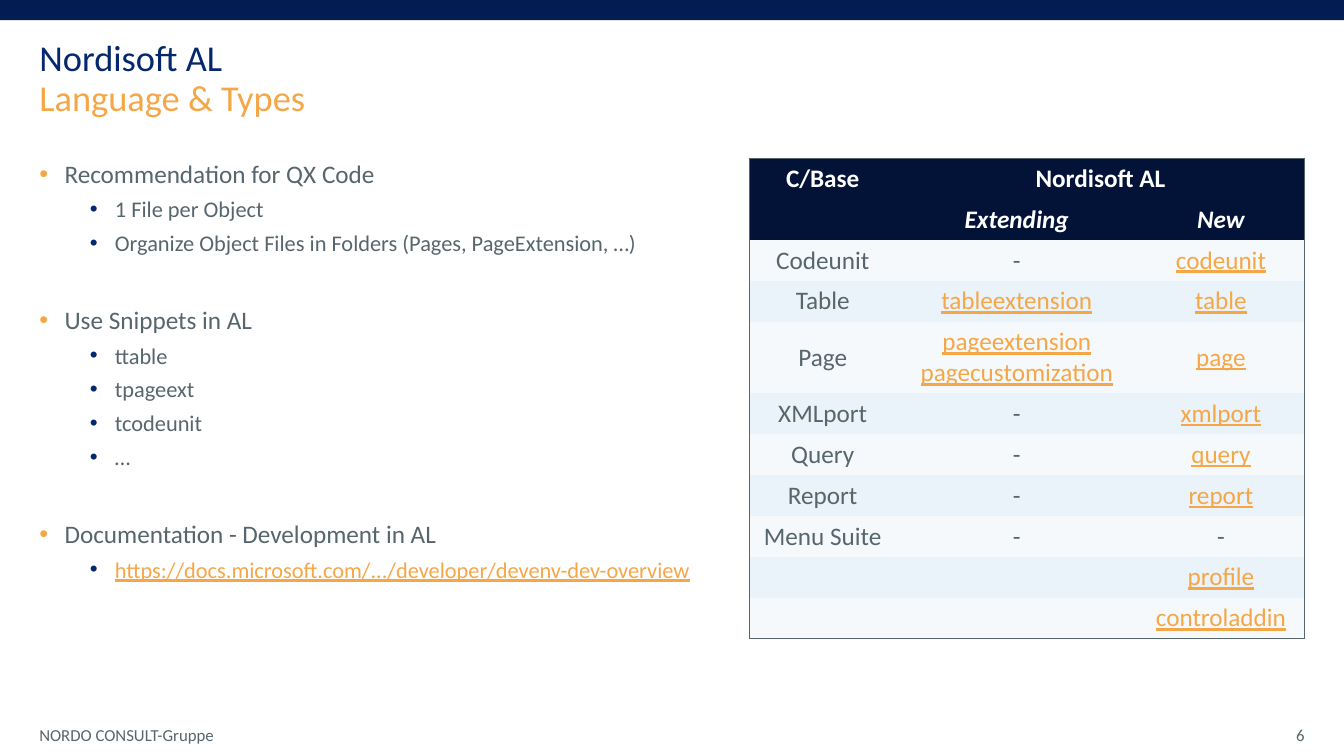
from dataclasses import dataclass

from lxml import etree
from pptx import Presentation
from pptx.dml.color import RGBColor
from pptx.enum import shapes, text
from pptx.oxml import ns
from pptx.util import Inches, Pt

TITLE = ["Nordisoft AL", "Language & Types"]
POINTS = [
    ("Recommendation for QX Code", [
        "1 File per Object",
        "Organize Object Files in Folders (Pages, PageExtension, …)"]),
    ("Use Snippets in AL", ["ttable", "tpageext", "tcodeunit", "…"]),
    ("Documentation - Development in AL", [
        "https://docs.microsoft.com/.../developer/devenv-dev-overview"]),
]
HEADS = [["C/Base", "Nordisoft AL", ""], ["", "Extending", "New"]]
ROWS = [
    ["Codeunit", "-", "codeunit"],
    ["Table", "tableextension", "table"],
    ["Page", "pageextension\npagecustomization", "page"],
    ["XMLport", "-", "xmlport"],
    ["Query", "-", "query"],
    ["Report", "-", "report"],
    ["Menu Suite", "-", "-"],
    ["", "", "profile"],
    ["", "", "controladdin"],
]
WIDTHS = [1.46, 2.39, 1.66]
LEFT, RIGHT, TOP = 0.39, 12.94, 1.57
SINGLE, DOUBLE = 0.34, 0.6
FOOT = [("NORDO CONSULT-Gruppe", LEFT, 3, text.PP_ALIGN.LEFT),
        ("6", 10.18, 2.76, text.PP_ALIGN.RIGHT)]


@dataclass(frozen=True)
class Theme:
    font: str = "Calibri"
    bar: str = "031D52"
    navy: str = "04276E"
    gold: str = "F5A748"
    gray: str = "57666D"
    white: str = "FFFFFF"
    head: str = "021337"
    bands: tuple = ("F5F9FC", "EAF2FA")
    title: int = 26
    main: int = 18
    sub: int = 16
    small: int = 12


LOOK = Theme()


def rgb(code):
    return RGBColor.from_string(code)


def add_run(para, words, size, color, link=False, bold=False, slant=False):
    run = para.add_run()
    run.text = words
    font = run.font
    font.name, font.size = LOOK.font, Pt(size)
    font.color.rgb = rgb(color)
    font.underline, font.bold, font.italic = link, bold, slant


def set_frame(shape, anchor):
    frame = shape.text_frame
    frame.word_wrap = True
    frame.auto_size = text.MSO_AUTO_SIZE.NONE
    frame.vertical_anchor = anchor
    frame.margin_left = frame.margin_right = 0
    frame.margin_top = frame.margin_bottom = 0
    return frame


def place(shape, left, top, width, height):
    shape.left, shape.top = Inches(left), Inches(top)
    shape.width, shape.height = Inches(width), Inches(height)


def add_node(parent, tag, **attrs):
    return etree.SubElement(parent, ns.qn(tag), attrs)


def add_point(para, words, level):
    color, size = [(LOOK.gold, LOOK.main), (LOOK.navy, LOOK.sub)][level]
    props = para._p.get_or_add_pPr()
    props.set("marL", str(Inches([0.25, 0.75][level])))
    props.set("indent", str(Inches(-0.25)))
    add_node(add_node(props, "a:buClr"), "a:srgbClr", val=color)
    add_node(props, "a:buFont", typeface="Arial")
    add_node(props, "a:buChar", char="•")
    para.level = level
    para.alignment = text.PP_ALIGN.LEFT
    para.line_spacing = 1.0
    link = words.startswith("https")
    add_run(para, words, size, LOOK.gold if link else LOOK.gray, link)


def fill_body(frame):
    for i, (main, subs) in enumerate(POINTS):
        para = frame.add_paragraph() if i else frame.paragraphs[0]
        add_point(para, main, 0)
        para.space_before = Pt(34.5 if i else 0)
        for words in subs:
            para = frame.add_paragraph()
            add_point(para, words, 1)
            para.space_before = Pt(5)


def set_edges(cell, edges):
    props = cell._tc.get_or_add_tcPr()
    for side in "LRTB":
        line = add_node(props, f"a:ln{side}", w=str(Pt(1)))
        if side in edges:
            fill = add_node(line, "a:solidFill")
            add_node(fill, "a:srgbClr", val=LOOK.gray)
        else:
            add_node(line, "a:noFill")


def fill_cell(cell, words, row, col):
    is_head = row < len(HEADS)
    link = not is_head and col > 0 and words != "-"
    color = LOOK.white if is_head else LOOK.gold if link else LOOK.gray
    last = len(HEADS) + len(ROWS) - 1
    tests = {"L": col == 0, "R": col + cell.span_width == len(WIDTHS),
             "T": row == 0, "B": row == last}
    set_edges(cell, [side for side, hit in tests.items() if hit])
    cell.fill.solid()
    cell.fill.fore_color.rgb = rgb(LOOK.head if is_head else LOOK.bands[row % 2])
    cell.vertical_anchor = text.MSO_ANCHOR.MIDDLE
    if not words:
        return
    for i, line in enumerate(words.split("\n")):
        frame = cell.text_frame
        para = frame.add_paragraph() if i else frame.paragraphs[0]
        para.alignment = text.PP_ALIGN.CENTER
        add_run(para, line, LOOK.main, color, link, is_head, row == 1)


def add_grid(slide):
    grid = HEADS + ROWS
    highs = [DOUBLE if "\n" in "".join(row) else SINGLE for row in grid]
    wide = sum(WIDTHS)
    table = slide.shapes.add_table(
        len(grid), len(WIDTHS), Inches(RIGHT - wide), Inches(TOP),
        Inches(wide), Inches(sum(highs))).table
    table.first_row = table.horz_banding = False
    for col, width in zip(table.columns, WIDTHS):
        col.width = Inches(width)
    for row, high in zip(table.rows, highs):
        row.height = Inches(high)
    table.cell(0, 1).merge(table.cell(0, 2))
    for r, row in enumerate(grid):
        for c, words in enumerate(row):
            fill_cell(table.cell(r, c), words, r, c)


def main():
    deck = Presentation()
    deck.slide_width, deck.slide_height = Inches(13.33), Inches(7.5)
    slide = deck.slides.add_slide(deck.slide_layouts[1])

    bar = slide.shapes.add_shape(shapes.MSO_SHAPE.RECTANGLE, 0, 0,
                                 deck.slide_width, Inches(0.2))
    bar.shadow.inherit = False
    bar.fill.solid()
    bar.fill.fore_color.rgb = rgb(LOOK.bar)
    bar.line.fill.background()

    title = slide.shapes.title
    place(title, LEFT, 0.39, RIGHT - LEFT, 0.79)
    para = set_frame(title, text.MSO_ANCHOR.BOTTOM).paragraphs[0]
    para.alignment = text.PP_ALIGN.LEFT
    para.line_spacing = 0.9
    add_run(para, TITLE[0], LOOK.title, LOOK.navy)
    para.add_line_break()
    add_run(para, TITLE[1], LOOK.title, LOOK.gold)

    body = slide.placeholders[1]
    place(body, LEFT, TOP, RIGHT - LEFT, 5.35)
    fill_body(set_frame(body, text.MSO_ANCHOR.TOP))
    add_grid(slide)

    for words, left, width, align in FOOT:
        box = slide.shapes.add_textbox(Inches(left), Inches(7.09),
                                       Inches(width), Inches(0.4))
        para = set_frame(box, text.MSO_ANCHOR.MIDDLE).paragraphs[0]
        para.alignment = align
        add_run(para, words, LOOK.small, LOOK.gray)

    deck.save("out.pptx")


if __name__ == "__main__":
    main()
